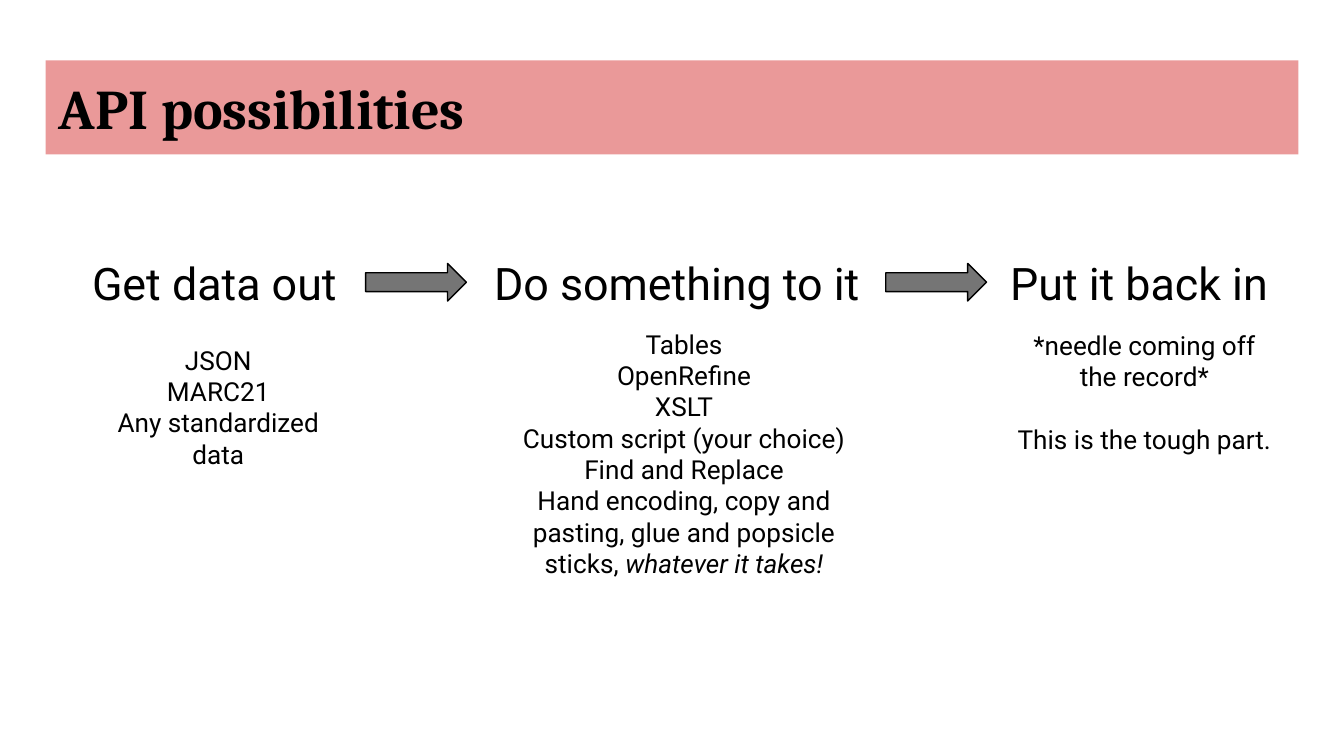
from pptx import Presentation
from pptx.dml.color import RGBColor
from pptx.enum.shapes import MSO_SHAPE as Shape
from pptx.enum.text import MSO_ANCHOR as Anchor, PP_ALIGN as Align
from pptx.util import Inches, Pt

BLACK = RGBColor(0x00, 0x00, 0x00)
PINK = RGBColor(0xEA, 0x99, 0x99)
GRAY = RGBColor(0x75, 0x75, 0x75)

PAGE_WIDTH = Inches(10)
PAGE_HEIGHT = PAGE_WIDTH * 9 // 16

TITLE_FONT = {"name": "Cambria", "size": Pt(30), "bold": True}
HEADING_FONT = {"name": "Roboto", "size": Pt(24)}
DETAIL_FONT = {"name": "Roboto", "size": Pt(14)}

HEADING_TOP, HEADING_HEIGHT = 1.75, 0.7
ARROW_WIDTH, ARROW_HEIGHT = 0.75, 0.28

STEPS = [
    {
        "heading": "Get data out",
        "heading_span": (0.47, 2.25),
        "detail_box": (0.71, 2.46, 1.83, 2.43),
        "lines": ["JSON", "MARC21", "Any standardized data"],
    },
    {
        "heading": "Do something to it",
        "heading_span": (3.48, 3.11),
        "detail_box": (3.79, 2.34, 2.6, 2.61),
        "lines": [
            "Tables",
            "OpenRefine",
            "XSLT",
            "Custom script (your choice)",
            "Find and Replace",
            "Hand encoding, copy and pasting, glue and popsicle sticks, ",
        ],
        "emphasis": "whatever it takes!",
    },
    {
        "heading": "Put it back in",
        "heading_span": (7.35, 2.25),
        "detail_box": (7.47, 2.35, 2.09, 2.09),
        "lines": ["*needle coming off the record*", "This is the tough part."],
        "gap": Pt(17),
    },
]


def apply_format(target, values):
    for name, value in values.items():
        setattr(target, name, value)


def add_span(para, text, font, **extra):
    span = para.add_run()
    span.text = text
    apply_format(span.font, {**font, **extra})
    span.font.color.rgb = BLACK


def fill_text(box, lines, font, align, anchor, gap=Pt(0)):
    frame = box.text_frame
    margins = ("margin_left", "margin_top", "margin_right", "margin_bottom")
    apply_format(frame, dict.fromkeys(margins, Inches(0.1)))
    apply_format(frame, {"word_wrap": True, "vertical_anchor": anchor})
    for index, line in enumerate(lines):
        para = frame.add_paragraph() if index else frame.paragraphs[0]
        para.alignment = align
        if index and gap:
            para.space_before = gap
        add_span(para, line, font)
    return frame


def add_solid(page, kind, area, color):
    shape = page.shapes.add_shape(kind, *map(Inches, area))
    shape.shadow.inherit = False
    shape.fill.solid()
    shape.fill.fore_color.rgb = color
    return shape


def add_title(page, area, text):
    bar = add_solid(page, Shape.RECTANGLE, area, PINK)
    bar.line.fill.background()
    fill_text(bar, [text], TITLE_FONT, Align.LEFT, Anchor.TOP)


def add_step(page, step):
    left, width = step["heading_span"]
    area = (left, HEADING_TOP, width, HEADING_HEIGHT)
    heading = page.shapes.add_textbox(*map(Inches, area))
    fill_text(heading, [step["heading"]], HEADING_FONT, Align.CENTER, Anchor.MIDDLE)
    detail = page.shapes.add_textbox(*map(Inches, step["detail_box"]))
    frame = fill_text(detail, step["lines"], DETAIL_FONT, Align.CENTER,
                      Anchor.TOP, step.get("gap", Pt(0)))
    if "emphasis" in step:
        add_span(frame.paragraphs[-1], step["emphasis"], DETAIL_FONT, italic=True)


def add_step_arrow(page, step):
    top = HEADING_TOP + (HEADING_HEIGHT - ARROW_HEIGHT) / 2
    area = (sum(step["heading_span"]), top, ARROW_WIDTH, ARROW_HEIGHT)
    arrow = add_solid(page, Shape.RIGHT_ARROW, area, GRAY)
    arrow.line.color.rgb = BLACK
    arrow.line.width = Pt(0.75)


def main():
    deck = Presentation()
    apply_format(deck, {"slide_width": PAGE_WIDTH, "slide_height": PAGE_HEIGHT})
    page = deck.slides.add_slide(deck.slide_layouts[6])
    add_title(page, (0.34, 0.45, 9.32, 0.7), "API possibilities")
    for step in STEPS:
        add_step(page, step)
    for step in STEPS[:-1]:
        add_step_arrow(page, step)
    deck.save("out.pptx")


if __name__ == "__main__":
    main()
